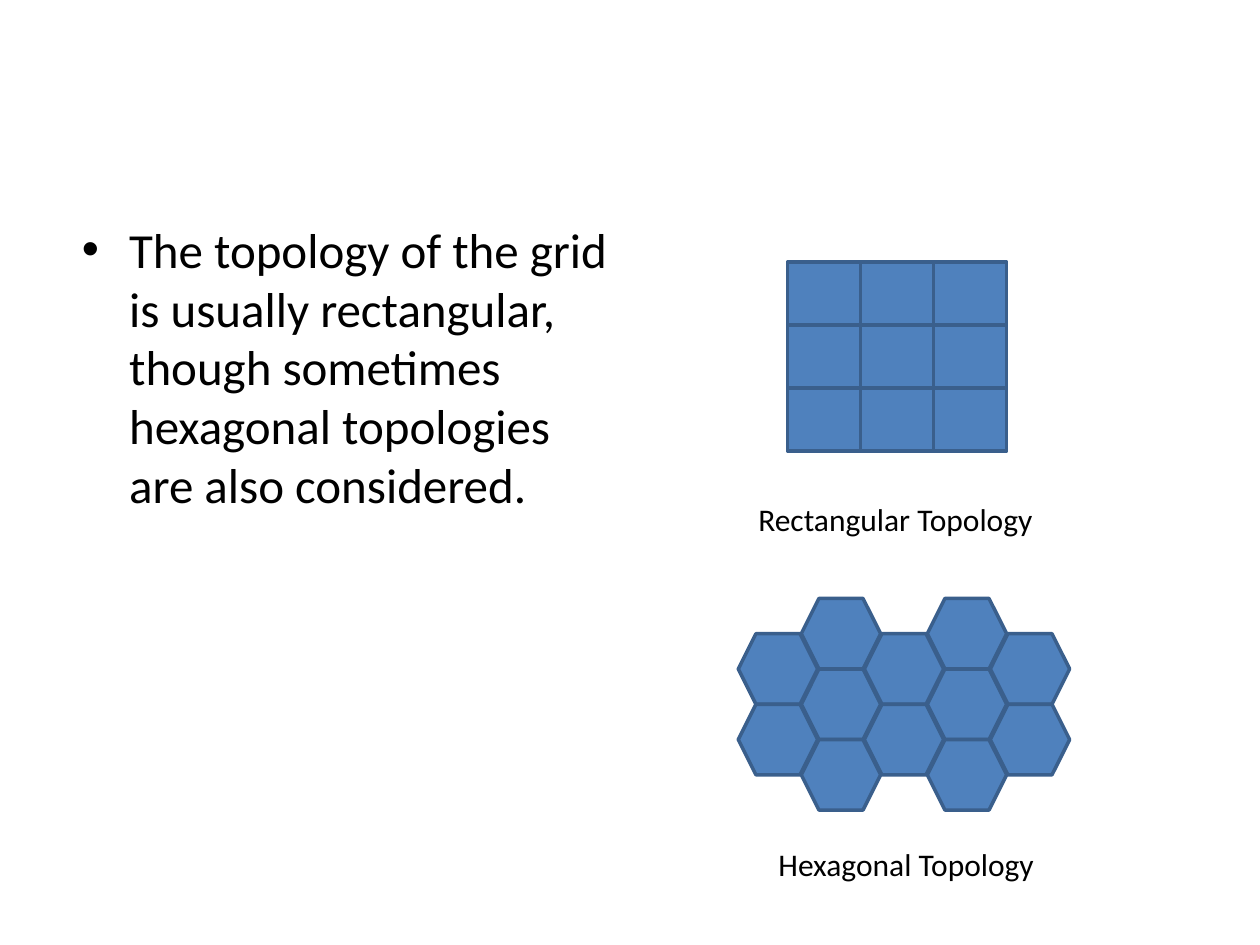
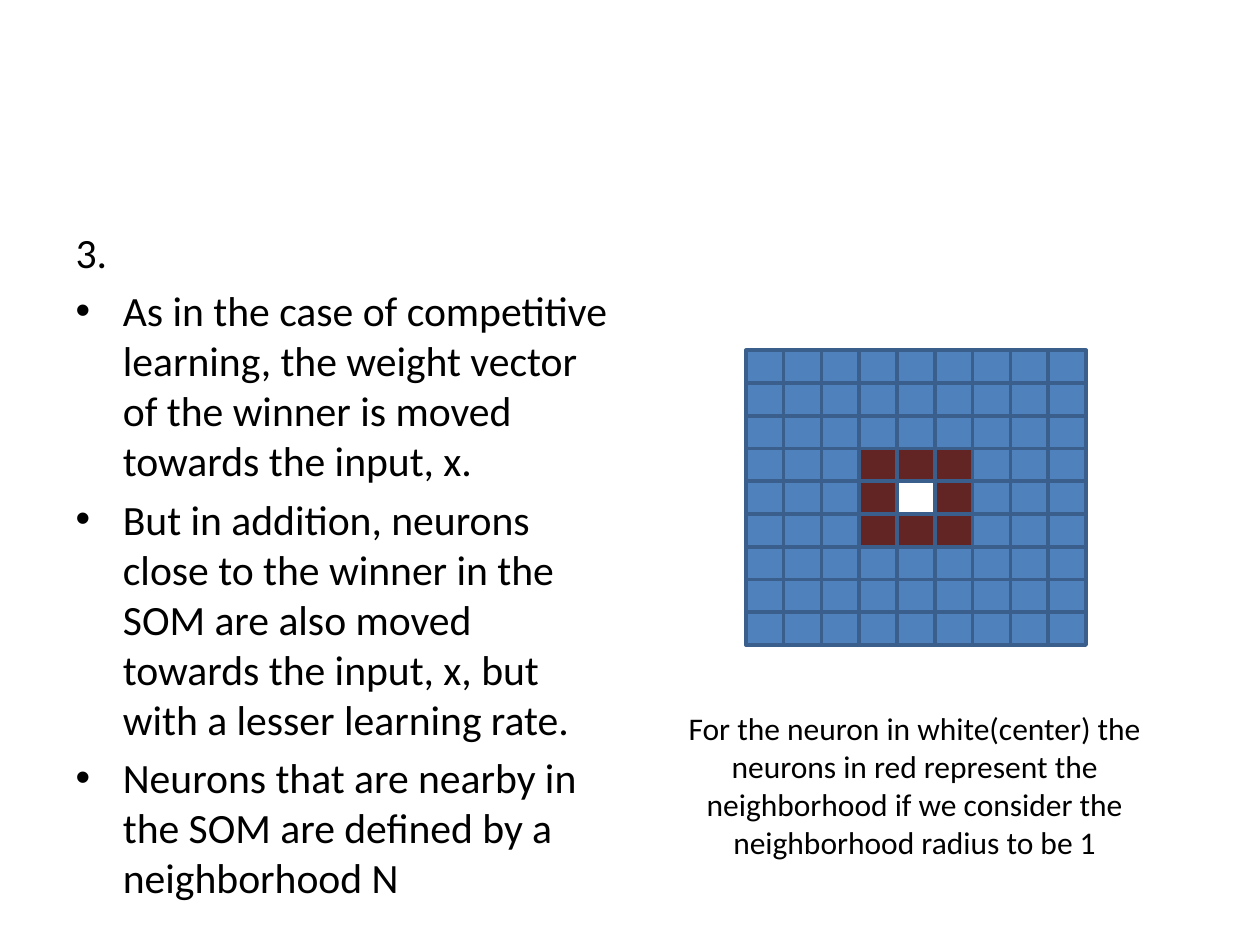
from pptx import Presentation
from pptx.dml.color import RGBColor
from pptx.enum.shapes import MSO_SHAPE as Shape
from pptx.enum.text import MSO_AUTO_SIZE as Fit, PP_ALIGN as Align
from pptx.oxml.ns import qn
from pptx.util import Inches, Pt
from lxml.etree import SubElement

INK = {"cell": "4F81BD", "edge": "3A5F8C", "near": "632523",
       "winner": "FFFFFF", "text": "000000"}
FONT = "Calibri"
EDGE = 2

# Each list item is (text, has bullet).
TOPOLOGY = [
    ("The topology of the grid is usually rectangular, though sometimes "
     "hexagonal topologies are also considered.", True),
]
UPDATE = [
    ("3.", False),
    ("As in the case of competitive learning, the weight vector of the "
     "winner is moved towards the input, x.", True),
    ("But in addition, neurons close to the winner in the SOM are also moved "
     "towards the input, x, but with a lesser learning rate.", True),
    ("Neurons that are nearby in the SOM are defined by a neighborhood N", True),
]
RADIUS = ("For the neuron in white(center) the neurons in red represent the "
          "neighborhood if we consider the neighborhood radius to be 1")


def color(name):
    return RGBColor.from_string(INK[name])


def write(para, text, size, align=None, bullet=True):
    para.alignment = align
    run = para.add_run()
    run.text = text
    font = run.font
    font.name, font.size = FONT, Pt(size)
    font.color.rgb = color("text")
    if not bullet:
        props = para._p.get_or_add_pPr()
        props.set("marL", "0")
        props.set("indent", "0")
        SubElement(props, qn("a:buNone"))


def start(deck, items, left, top, size):
    """Add a slide with a bullet list in its left half and no title."""
    slide = deck.slides.add_slide(deck.slide_layouts[1])
    title = slide.shapes.title._element
    title.getparent().remove(title)
    body = slide.placeholders[1]
    body.left, body.top = Inches(left), Inches(top)
    body.width, body.height = Inches(4.42), Inches(4.95)
    frame = body.text_frame
    frame.auto_size = Fit.NONE
    for i, (text, bullet) in enumerate(items):
        para = frame.add_paragraph() if i else frame.paragraphs[0]
        write(para, text, size, bullet=bullet)
    return slide


def label(slide, text, left, top, width, height, wrap=False):
    box = slide.shapes.add_textbox(*map(Inches, (left, top, width, height)))
    box.text_frame.word_wrap = wrap
    write(box.text_frame.paragraphs[0], text, 18,
          align=Align.CENTER if wrap else None)


def cell(group, kind, left, top, width, height, fill="cell"):
    part = group.shapes.add_shape(
        kind, *map(Inches, (left, top, width, height)))
    part.shadow.inherit = False
    part.fill.solid()
    part.fill.fore_color.rgb = color(fill)
    part.line.color.rgb = color("edge")
    part.line.width = Pt(EDGE)


def grid(slide, count, left, top, width, height, shade=lambda row, col: "cell"):
    """Draw a square lattice of count by count touching cells."""
    group = slide.shapes.add_group_shape()
    for row in range(count):
        for col in range(count):
            cell(group, Shape.RECTANGLE, left + col * width,
                 top + row * height, width, height, shade(row, col))


def comb(slide, left, top, width, height, step, cols):
    """Draw hexagon columns; even ones hold two cells, half a cell lower."""
    group = slide.shapes.add_group_shape()
    for col in range(cols):
        odd = col % 2
        first = top if odd else top + height / 2
        for row in range(2 + odd):
            cell(group, Shape.HEXAGON, left + col * step,
                 first + row * height, width, height)


def ring(row, col, mid=4):
    """Name the colour of a cell by its distance from the winner."""
    far = max(abs(row - mid), abs(col - mid))
    return ("winner", "near", "cell")[min(far, 2)]


def main():
    deck = Presentation()
    deck.slide_width, deck.slide_height = Inches(10), Inches(7.5)

    slide = start(deck, TOPOLOGY, 0.55, 1.69, 28)
    grid(slide, 3, 6.25, 2.08, 0.58, 0.5)
    comb(slide, 5.86, 4.75, 0.63, 0.56, 0.5, 5)
    label(slide, "Rectangular Topology", 5.92, 3.92, 2.4, 0.4)
    label(slide, "Hexagonal Topology", 6.08, 6.66, 2.25, 0.4)

    slide = start(deck, UPDATE, 0.5, 1.75, 23.8)
    grid(slide, 9, 5.92, 2.78, 0.3, 0.26, ring)
    label(slide, RADIUS, 5.04, 5.58, 4.44, 1.31, wrap=True)

    deck.save("out.pptx")


if __name__ == "__main__":
    main()
